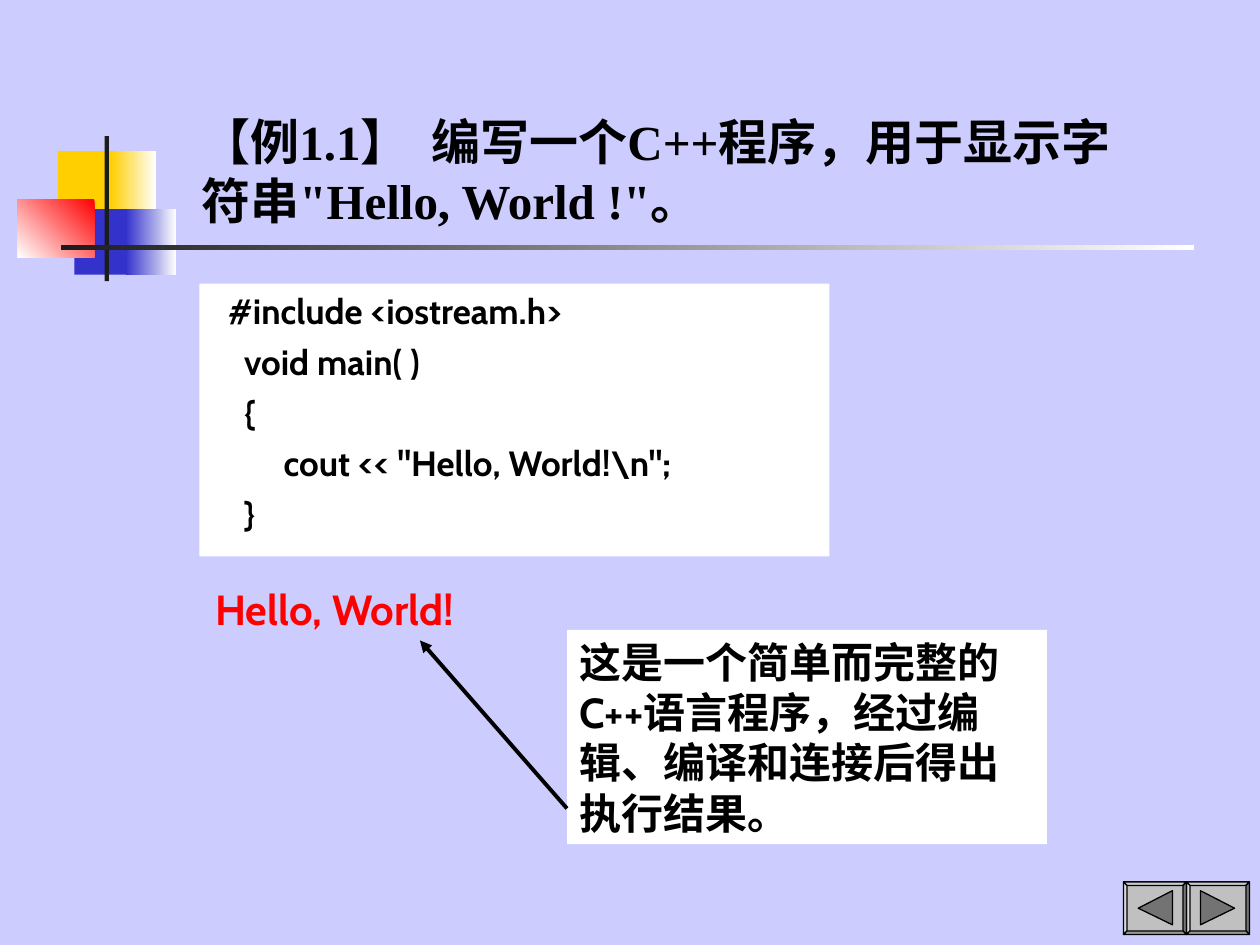
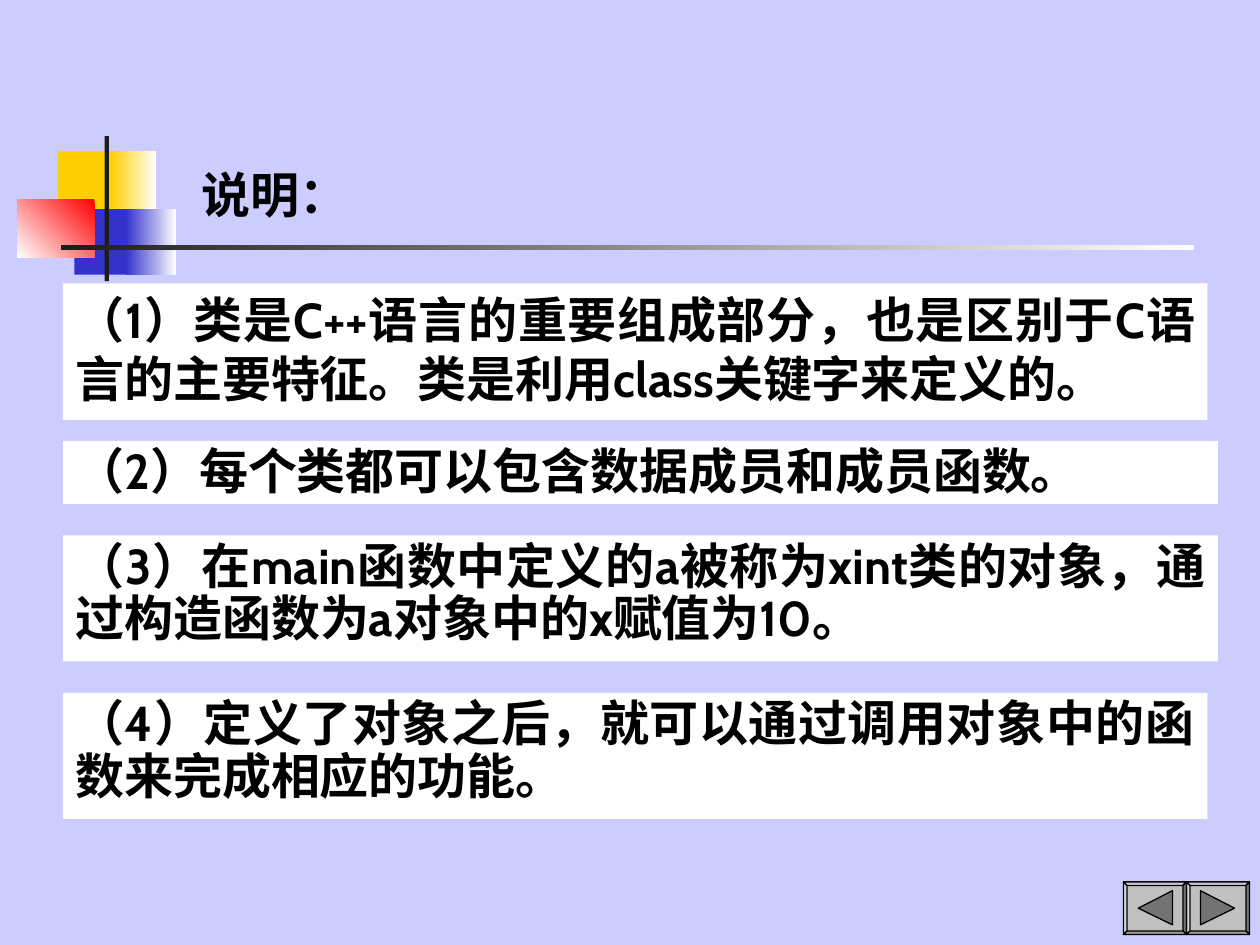
import copy
import itertools

import pptx
import pptx.dml.color
import pptx.enum.shapes
import pptx.enum.text
import pptx.oxml.ns
import pptx.util

Pt = pptx.util.Pt
qn = pptx.oxml.ns.qn
SHAPE = pptx.enum.shapes.MSO_SHAPE
ALIGN = pptx.enum.text.PP_ALIGN
ANCHOR = pptx.enum.text.MSO_ANCHOR

COLORS = {"back": "CCCCFF", "panel": "FFFFFF", "text": "000000", "output": "FF0000",
          "yellow": "FFCF01", "blue": "3333CC", "red": "FF0000", "white": "FFFFFF",
          "bar": "1C1C1C", "button": "C0C0C0"}
CABIN, NOTO, TIMES = "Cabin", "Noto Sans CJK SC", "Times New Roman"

# Shared ornament: left, top, width, height, colours (one or a gradient pair), angle
ORNAMENT = [
    (33.1, 86.4, 34.6, 37.4, ("yellow",), 0),
    (63.4, 86.4, 25.9, 37.4, ("white", "yellow"), 180),
    (42.5, 119.5, 33.1, 37.4, ("blue",), 0),
    (72, 119.5, 28.8, 37.4, ("white", "blue"), 180),
    (10.1, 113.8, 43.9, 33.1, ("red", "white"), 225),
    (59.8, 77.8, 2.4, 82.8, ("bar",), 0),
    (34.6, 140.2, 648, 2.4, ("white", "bar"), 180),
]

# Slide 1 content
EXAMPLE_TITLE = '【例1.1】  编写一个C++程序，用于显示字符串"Hello, World !"。'
CODE = [  # indent in points, line of code
    (9.2, "#include <iostream.h>"),
    (18.4, "void main( )"),
    (18.4, "{"),
    (41, 'cout << "Hello, World!\\n";'),
    (18.4, "}"),
]
OUTPUT = "Hello, World!"
CALLOUT = "这是一个简单而完整的C++语言程序，经过编辑、编译和连接后得出执行结果。"

# Slide 2 content: top, width, height, line spacing, text
NOTES_TITLE = "说明："
NOTES = [
    (162, 654, 78, 1.0, "（1）类是C++语言的重要组成部分，也是区别于C语言的主要特征。类是利用class关键字来定义的。"),
    (252, 660, 36, 0.9, "（2）每个类都可以包含数据成员和成员函数。"),
    (306, 660, 72, 0.9, "（3）在main函数中定义的a被称为xint类的对象，通过构造函数为a对象中的x赋值为10。"),
    (396, 654, 72, 0.9, "（4）定义了对象之后，就可以通过调用对象中的函数来完成相应的功能。"),
]


def rgb(name):
    return pptx.dml.color.RGBColor.from_string(COLORS[name])


def write(tf, text, size=28, color="text", latin=CABIN, cjk=NOTO, align=ALIGN.LEFT,
          before=0, spacing=1.0, indent=0, first=True):
    """Add a paragraph, with one run for each stretch of Latin or Chinese text."""
    p = tf.paragraphs[0] if first else tf.add_paragraph()
    p.alignment, p.space_before, p.line_spacing = align, Pt(before), spacing
    pPr = p._p.get_or_add_pPr()
    pPr.set("hangingPunct", "0")  # keep punctuation inside the margins
    if indent:
        pPr.set("marL", str(Pt(indent)))
    for is_latin, chars in itertools.groupby(text, str.isascii):
        r = p.add_run()
        r.text = "".join(chars)
        r.font.size, r.font.bold = Pt(size), True
        r.font.color.rgb = rgb(color)
        r.font.name = latin if is_latin else cjk
        ea = r._r.get_or_add_rPr().makeelement(qn("a:ea"), {"typeface": NOTO})
        r._r.rPr.find(qn("a:latin")).addnext(ea)


def frame(sp, anchor=ANCHOR.TOP, wrap=True):
    tf = sp.text_frame
    tf.auto_size = pptx.enum.text.MSO_AUTO_SIZE.NONE
    tf.word_wrap, tf.vertical_anchor = wrap, anchor
    tf.margin_left = tf.margin_right = Pt(7.2)
    tf.margin_top = tf.margin_bottom = Pt(3.6)
    return tf


def add_rect(s, left, top, width, height, colors=("panel",), angle=0):
    sp = s.shapes.add_shape(SHAPE.RECTANGLE, Pt(left), Pt(top), Pt(width), Pt(height))
    sp.shadow.inherit = False
    sp.line.fill.background()
    if len(colors) == 1:
        sp.fill.solid()
        sp.fill.fore_color.rgb = rgb(colors[0])
    else:
        sp.fill.gradient()
        sp.fill.gradient_angle = angle
        for stop, name in zip(sp.fill.gradient_stops, colors):
            stop.color.rgb = rgb(name)
    return sp


def add_title(s, box, text, anchor, **fmt):
    sp = s.shapes.title
    sp.left, sp.top, sp.width, sp.height = map(Pt, box)
    write(frame(sp, anchor), text, **fmt)


def add_button(s, left, forward):
    """Draw a bevelled button with an arrow, as one outline with shaded faces."""
    top, w, h, e = 504, 36, 30, 2
    outer = [(0, 0), (w, 0), (w, h), (0, h)]
    inner = [(e, e), (w - e, e), (w - e, h - e), (e, h - e)]
    faces = [("norm", outer)]
    for i, shade in enumerate(("lightenLess", "darken", "darkenLess", "lighten")):
        j = (i + 1) % 4
        faces.append((shade, [outer[i], outer[j], inner[j], inner[i]]))
    arrow = [(8, 5), (27.5, 15), (8, 24.5)]
    faces.append(("darken", arrow if forward else [(w - x, y) for x, y in arrow]))

    builder = None
    for shade, points in faces:
        pts = [(Pt(left + x), Pt(top + y)) for x, y in points]
        if builder is None:
            builder = s.shapes.build_freeform(*pts[0])
        else:
            builder.move_to(*pts[0])
        builder.add_line_segments(pts[1:], close=True)
    sp = builder.convert_to_shape()
    sp.shadow.inherit = False
    sp.fill.solid()
    sp.fill.fore_color.rgb = rgb("button")
    sp.line.color.rgb = rgb("text")
    sp.line.width = Pt(0.75)

    # Give each face its own outline so that it can be shaded
    whole = next(sp._element.iter(qn("a:path")))
    steps = list(whole)
    for step in steps:
        whole.remove(step)
    shades = iter(faces)
    for step in steps:
        if step.tag == qn("a:moveTo"):
            part = copy.deepcopy(whole)
            part.set("fill", next(shades)[0])
            whole.getparent().append(part)
        part.append(step)
    whole.getparent().remove(whole)


def add_arrow(s, start, end):
    c = s.shapes.add_connector(pptx.enum.shapes.MSO_CONNECTOR.STRAIGHT,
                               *map(Pt, start + end))
    c.line.color.rgb = rgb("text")
    c.line.width = Pt(2.25)
    spPr = c._element.spPr
    ln = spPr.find(qn("a:ln"))
    ln.append(ln.makeelement(qn("a:tailEnd"), {"type": "triangle"}))
    spPr.append(spPr.makeelement(qn("a:effectLst"), {}))


prs = pptx.Presentation()
prs.slide_width, prs.slide_height = Pt(720), Pt(540)
layout = prs.slide_layouts[5]
fill = prs.slide_master.background.fill
fill.solid()
fill.fore_color.rgb = rgb("back")
example, notes = [prs.slides.add_slide(layout) for _ in range(2)]

# Ornament: drawn once, then moved to the layout
for part in ORNAMENT:
    sp = add_rect(example, *part)
    layout.shapes._spTree.append(sp._element)

# Slide 1: example program, its output and a callout
add_title(example, (108, 60, 534, 75), EXAMPLE_TITLE, ANCHOR.TOP, latin=TIMES, before=17.5)
tf = frame(add_rect(example, 114, 162, 360, 156))
for i, (indent, line) in enumerate(CODE):
    write(tf, line, size=20, before=5, indent=indent, first=i == 0)
write(frame(add_rect(example, 324, 360, 274.3, 122.4)), CALLOUT, size=24, before=6)
sp = example.shapes.add_textbox(Pt(116), Pt(330), Pt(168), Pt(36))
write(frame(sp, wrap=False), OUTPUT, size=24, color="output", before=6)
add_arrow(example, (324, 462), (240, 366))

# Slide 2: numbered notes
add_title(notes, (108, 90, 113, 41), NOTES_TITLE, ANCHOR.BOTTOM, cjk=TIMES)
for top, width, height, spacing, text in NOTES:
    write(frame(add_rect(notes, 36, top, width, height)), text, cjk=TIMES,
          align=ALIGN.JUSTIFY, before=7, spacing=spacing)

# Navigation buttons
for s in (example, notes):
    add_button(s, 678, forward=True)
    add_button(s, 642, forward=False)

prs.save("out.pptx")
